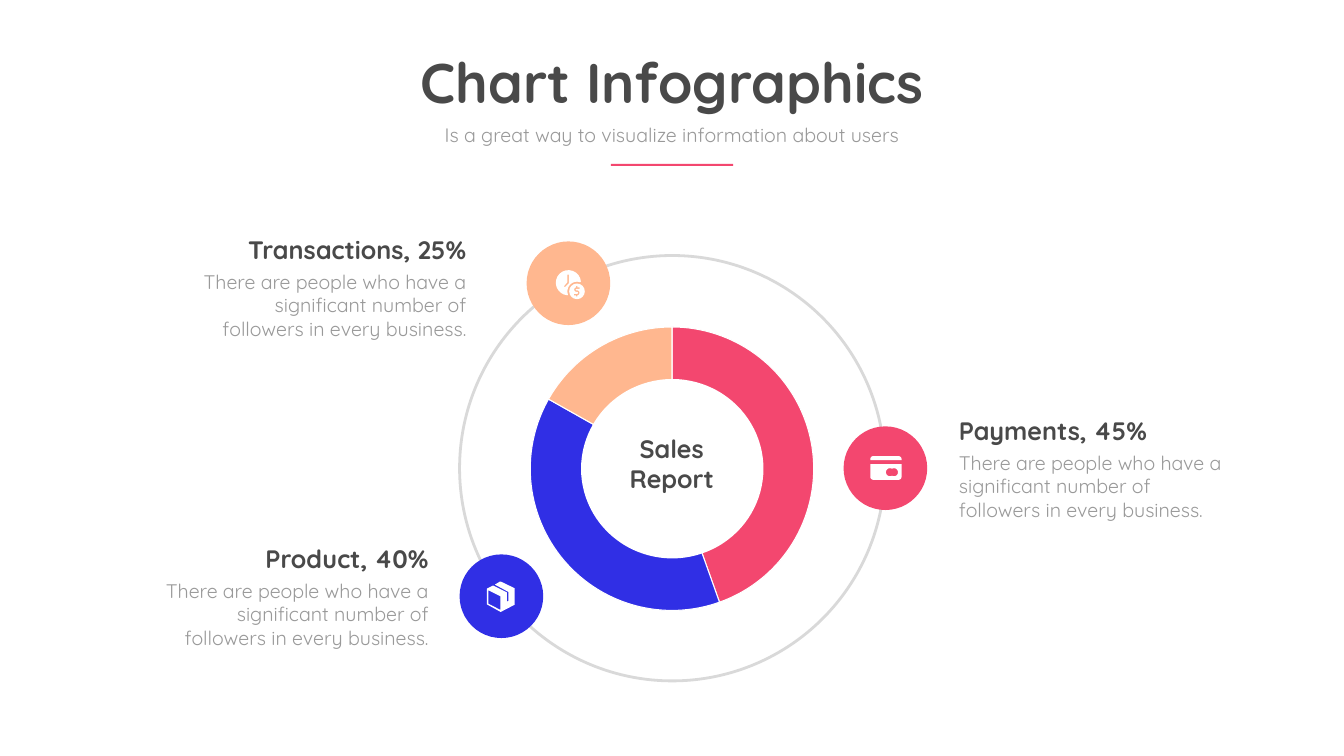
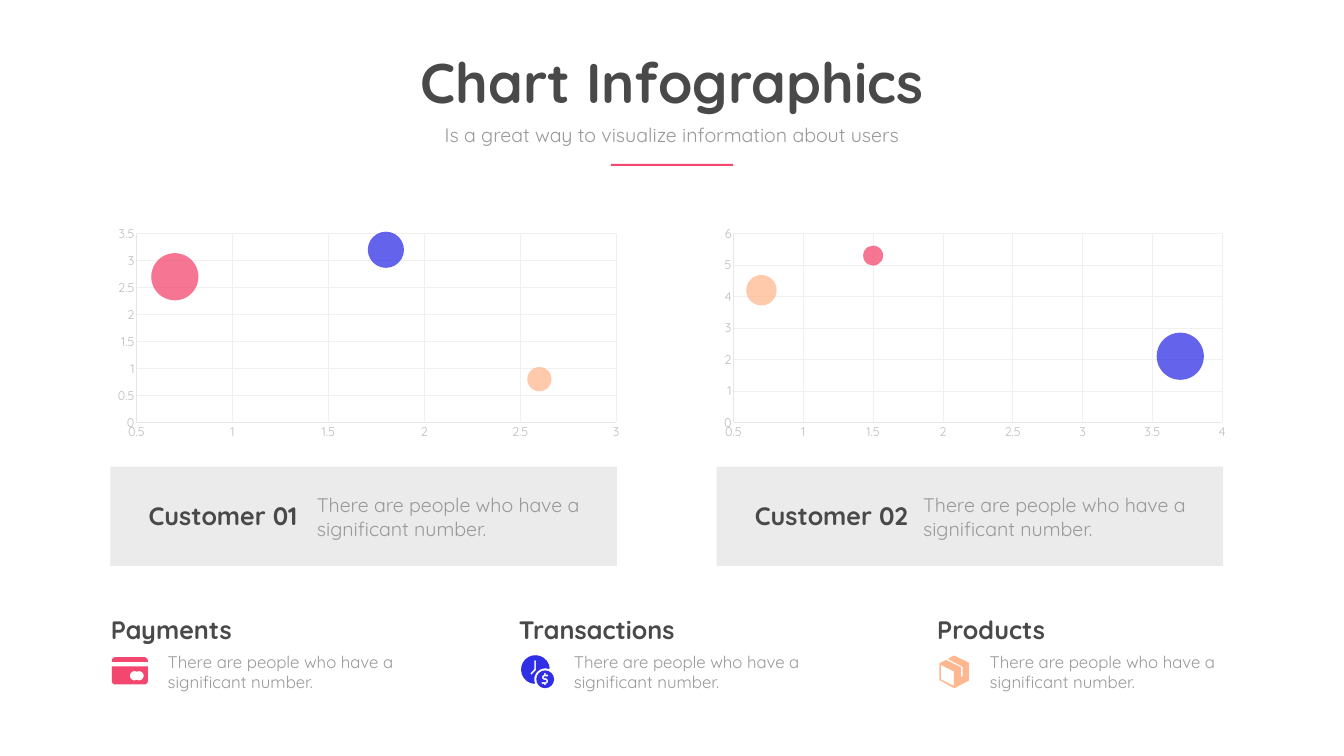
import dataclasses
import math

import lxml.etree
import pptx
import pptx.chart.data
import pptx.dml.color
import pptx.enum.chart
import pptx.enum.shapes
import pptx.enum.text
import pptx.oxml.ns
import pptx.util

Inches = pptx.util.Inches
Pt = pptx.util.Pt
Align = pptx.enum.text.PP_ALIGN
Preset = pptx.enum.shapes.MSO_SHAPE
ChartType = pptx.enum.chart.XL_CHART_TYPE


@dataclasses.dataclass(frozen=True)
class Theme:
    font: str = "Quicksand"
    dark: str = "494949"
    grey: str = "999999"
    pink: str = "F3476F"
    blue: str = "302FE5"
    peach: str = "FFB78F"
    white: str = "FFFFFF"
    ring: str = "D9D9D9"
    band: str = "EBEBEB"
    label: str = "BDBDBD"
    axis: str = "E6E6E6"
    grid: str = "F0F0F0"
    title: int = 80
    heading: int = 36
    body: int = 28
    small: int = 24
    chart: int = 18


theme = Theme()
rgb = pptx.dml.color.RGBColor.from_string


def write(box, place, text, size, color, align=Align.LEFT, bold=False):
    """Place a text box or placeholder and fill it with one paragraph."""
    box.left, box.top, box.width, box.height = map(Inches, place)
    frame = box.text_frame
    frame.word_wrap = True
    frame.auto_size = pptx.enum.text.MSO_AUTO_SIZE.SHAPE_TO_FIT_TEXT
    frame.vertical_anchor = pptx.enum.text.MSO_ANCHOR.TOP
    frame.text = text
    para = frame.paragraphs[0]
    para.alignment = align
    para.space_before = Pt(0)
    para.font.name = theme.font
    para.font.size = Pt(size)
    para.font.bold = bold
    para.font.color.rgb = rgb(color)


def add_plain(page, preset, place, fill):
    """Add a flat shape without outline or shadow."""
    shape = page.shapes.add_shape(preset, *map(Inches, place))
    shape.shadow.inherit = False
    shape.fill.solid()
    shape.fill.fore_color.rgb = rgb(fill)
    shape.line.fill.background()
    return shape


# Icons in hundredths of an inch: each piece is a list of contours made of
# points (x, y) and arcs (centre x, centre y, radius, start, end)
card_icon = [
    [[(6, 6, 6, 180, 270), (56, 6, 6, 270, 360), (62, 8), (0, 8)]],
    [[(0, 16), (62, 16), (56, 41, 6, 0, 90), (6, 41, 6, 90, 180)],
     [(39, 32, 8, 300, 60), (47, 32, 8, 120, -120)]],
]
clock_icon = [
    [[(25, 25, 25, 95, 355), (42, 42, 19, 288, 160)],
     [(23, 9), (26, 9), (26, 26), (18, 34), (16, 32), (23, 24)]],
    [[(42, 42, 15.5, 0, 360)],
     [(42, 45, 5, -90, 80), (43, 52), (40, 52), (40, 50), (36, 50), (36, 47),
      (42, 45, 2, 90, -90), (41, 43), (41, 38.5, 4.5, 90, 260), (40, 31),
      (43, 31), (43, 34), (47, 34), (47, 37), (41, 38.5, 1.5, 270, 90)]],
]
box_icon = [
    [[(55, 13), (28, 0), (26, 0), (16, 6), (42, 20), (43, 21), (43, 38),
      (41.5, 40), (40, 38), (40, 22), (39, 21), (13, 8), (12, 8), (0, 14),
      (0, 45), (27, 60), (28, 60), (55, 46)],
     [(27, 56), (3, 44), (3, 17), (27, 29)]],
]
placed_icons = []

deck = pptx.Presentation()
deck.slide_width = Inches(26.67)
deck.slide_height = Inches(15)

# Shared header
pages = [deck.slides.add_slide(deck.slide_layouts[0]) for _ in range(2)]
for page in pages:
    write(page.shapes.title, (6.88, 0.9, 12.91, 1.45), "Chart Infographics",
          theme.title, theme.dark, Align.CENTER, True)
    write(page.placeholders[1], (8.55, 2.38, 9.56, 0.57),
          "Is a great way to visualize information about users",
          theme.body, theme.grey, Align.CENTER)
    add_plain(page, Preset.RECTANGLE, (12.12, 3.25, 2.43, 0.04), theme.pink)
report_page, customer_page = pages

# Sales report: ring and pie with a white centre
ring = add_plain(report_page, Preset.OVAL, (9.12, 5.07, 8.44, 8.44), theme.white)
ring.fill.background()
ring.line.color.rgb = rgb(theme.ring)
ring.line.width = Pt(4)

pie_data = pptx.chart.data.CategoryChartData()
pie_data.categories = ["1", "2", "3"]
pie_data.add_series("Series 1", (45, 39, 17))
pie = report_page.shapes.add_chart(
    ChartType.PIE, Inches(9.11), Inches(6.35), Inches(8.45), Inches(5.9), pie_data).chart
pie.has_title = False
pie.has_legend = False
pie.font.name = theme.font
pie.font.size = Pt(theme.chart)
pie.font.color.rgb = rgb(theme.grey)
for index, color in enumerate((theme.pink, theme.blue, theme.peach)):
    wedge = pie.plots[0].series[0].points[index].format
    wedge.fill.solid()
    wedge.fill.fore_color.rgb = rgb(color)
    wedge.line.color.rgb = rgb(theme.white)
    wedge.line.width = Pt(1.5)
add_plain(report_page, Preset.OVAL, (11.53, 7.52, 3.62, 3.56), theme.white)
write(report_page.shapes.add_textbox(0, 0, 0, 0), (12.15, 8.55, 2.36, 1.31),
      "Sales Report", theme.heading, theme.dark, Align.CENTER, True)

# Sales report: callouts around the ring
callouts = [
    ("Transactions, 25%", theme.peach, (10.45, 4.79), (3.64, 4.6), Align.RIGHT,
     clock_icon, (11.03, 5.36)),
    ("Payments, 45%", theme.pink, (16.74, 8.46), (18.93, 8.19), Align.LEFT,
     card_icon, (17.27, 9.05)),
    ("Product, 40%", theme.blue, (9.12, 11), (2.89, 10.73), Align.RIGHT,
     box_icon, (9.66, 11.54)),
]
for heading, color, badge, (left, top), align, icon, spot in callouts:
    add_plain(report_page, Preset.OVAL, (*badge, 1.66, 1.66), color)
    placed_icons.append((report_page, icon, spot, 1, theme.white))
    write(report_page.shapes.add_textbox(0, 0, 0, 0), (left, top, 5.71, 0.71),
          heading, theme.heading, theme.dark, align, True)
    write(report_page.shapes.add_textbox(0, 0, 0, 0), (left, top + 0.7, 5.71, 1.51),
          "There are people who have a significant number of followers in every business.",
          theme.body, theme.grey, align)

# Customers: bubble charts above grey bands
# Each axis is (minimum, maximum, step)
customers = [
    ("Customer 01", [(0.7, 2.7, 34), (1.8, 3.2, 20), (2.6, 0.8, 9)],
     (0.5, 3, 0.5), (0, 3.5, 0.5)),
    ("Customer 02", [(1.5, 5.3, 12), (3.7, 2.1, 67), (0.7, 4.2, 28)],
     (0.5, 4, 0.5), (0, 6, 1)),
]
for column, (name, bubbles, x_range, y_range) in enumerate(customers):
    shift = column * 12.03
    bubble_data = pptx.chart.data.BubbleChartData()
    bubble_series = bubble_data.add_series("Series 1")
    for bubble in bubbles:
        bubble_series.add_data_point(*bubble)
    chart = customer_page.shapes.add_chart(
        ChartType.BUBBLE, Inches(2.13 + shift), Inches(4.39),
        Inches(10.37), Inches(4.43), bubble_data).chart
    chart.has_title = False
    chart.has_legend = False
    chart.font.name = theme.font
    chart.font.size = Pt(theme.chart)
    chart.font.color.rgb = rgb(theme.grey)
    series = chart.plots[0].series[0]
    for index, color in enumerate((theme.pink, theme.blue, theme.peach)):
        look = series.points[index].format
        look.fill.solid()
        look.fill.fore_color.rgb = rgb(color)
        look.line.fill.background()
    for tint in series._element.iter(pptx.oxml.ns.qn("a:srgbClr")):
        lxml.etree.SubElement(tint, pptx.oxml.ns.qn("a:alpha"), val="75000")

    for axis, (low, high, step) in ((chart.category_axis, x_range),
                                    (chart.value_axis, y_range)):
        axis.minimum_scale, axis.maximum_scale, axis.major_unit = low, high, step
        axis.major_tick_mark = pptx.enum.chart.XL_TICK_MARK.NONE
        axis.minor_tick_mark = pptx.enum.chart.XL_TICK_MARK.NONE
        axis.has_major_gridlines = True
        for line, color in ((axis.format.line, theme.axis),
                            (axis.major_gridlines.format.line, theme.grid)):
            line.color.rgb = rgb(color)
            line.width = Pt(0.75)
        font = axis.tick_labels.font
        font.name = theme.font
        font.size = Pt(theme.chart)
        font.color.rgb = rgb(theme.label)

    add_plain(customer_page, Preset.RECTANGLE, (2.19 + shift, 9.26, 10.05, 1.97), theme.band)
    write(customer_page.shapes.add_textbox(0, 0, 0, 0), (2.85 + shift, 9.88, 3.28, 0.71),
          name, theme.heading, theme.dark, bold=True)
    write(customer_page.shapes.add_textbox(0, 0, 0, 0), (6.19 + shift, 9.74, 5.47, 1.04),
          "There are people who have a significant number.", theme.body, theme.grey)

# Customers: legend row
legend = [
    ("Payments", theme.pink, 2.1, 3.23, card_icon, (2.22, 13.04), 1.15),
    ("Transactions", theme.blue, 10.2, 11.29, clock_icon, (10.34, 13), 1.14),
    ("Products", theme.peach, 18.5, 19.54, box_icon, (18.64, 13.01), 1.07),
]
for heading, color, heading_left, body_left, icon, spot, zoom in legend:
    placed_icons.append((customer_page, icon, spot, zoom, color))
    write(customer_page.shapes.add_textbox(0, 0, 0, 0), (heading_left, 12.14, 3.31, 0.71),
          heading, theme.heading, theme.dark, bold=True)
    write(customer_page.shapes.add_textbox(0, 0, 0, 0), (body_left, 12.88, 5.27, 0.91),
          "There are people who have a significant number.", theme.small, theme.grey)

# Icons of both slides, drawn on a grid of 10,000 units to the inch
arc_steps = 16
for page, icon, (left, top), zoom, color in placed_icons:
    for piece in icon:
        builder = None
        for contour in piece:
            points = []
            for item in contour:
                if len(item) == 2:
                    points.append(item)
                    continue
                x, y, radius, start, end = item
                for step in range(arc_steps + 1):
                    angle = math.radians(start + (end - start) * step / arc_steps)
                    points.append((x + radius * math.cos(angle), y + radius * math.sin(angle)))
            points = [(x * 100, y * 100) for x, y in points]
            if builder is None:
                builder = page.shapes.build_freeform(*points[0], scale=Inches(zoom) / 10000)
            else:
                builder.move_to(*points[0])
            builder.add_line_segments(points[1:], close=True)
        outline = builder.convert_to_shape(Inches(left), Inches(top))
        outline.shadow.inherit = False
        outline.fill.solid()
        outline.fill.fore_color.rgb = rgb(color)
        outline.line.fill.background()

deck.save("out.pptx")
